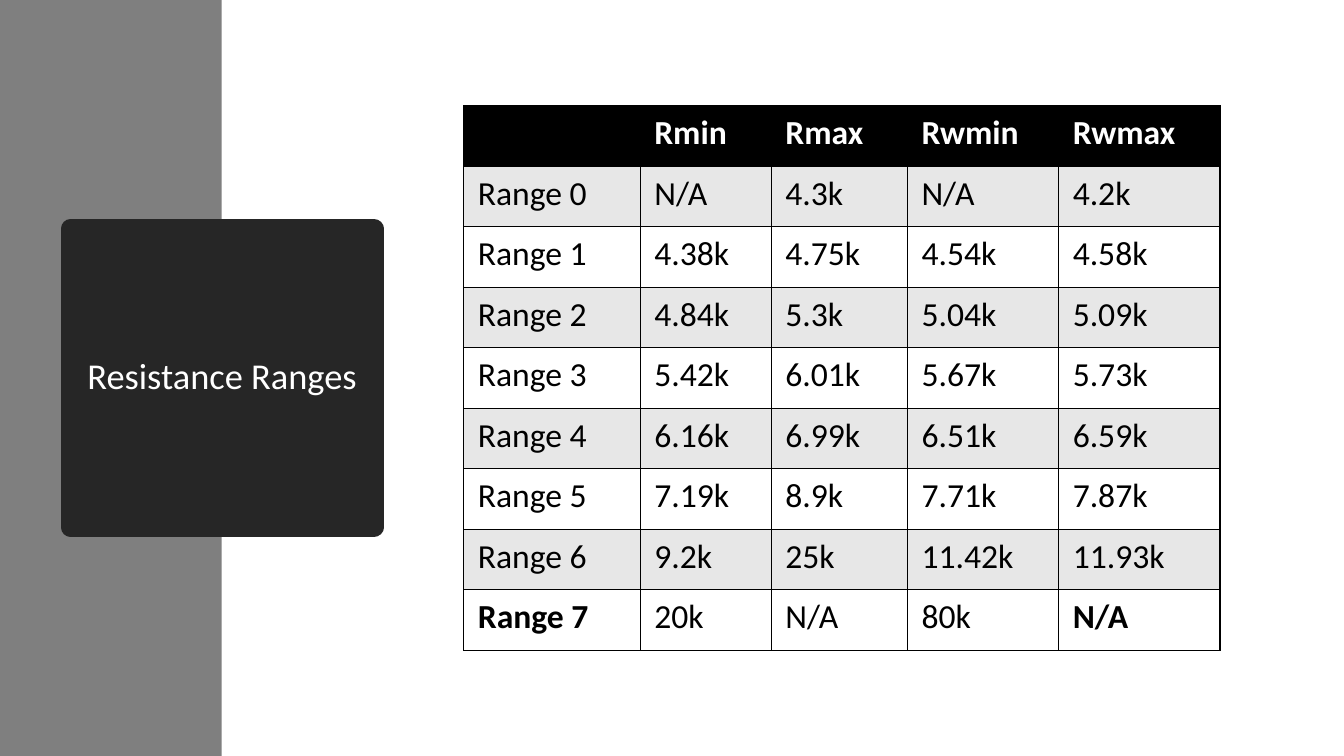
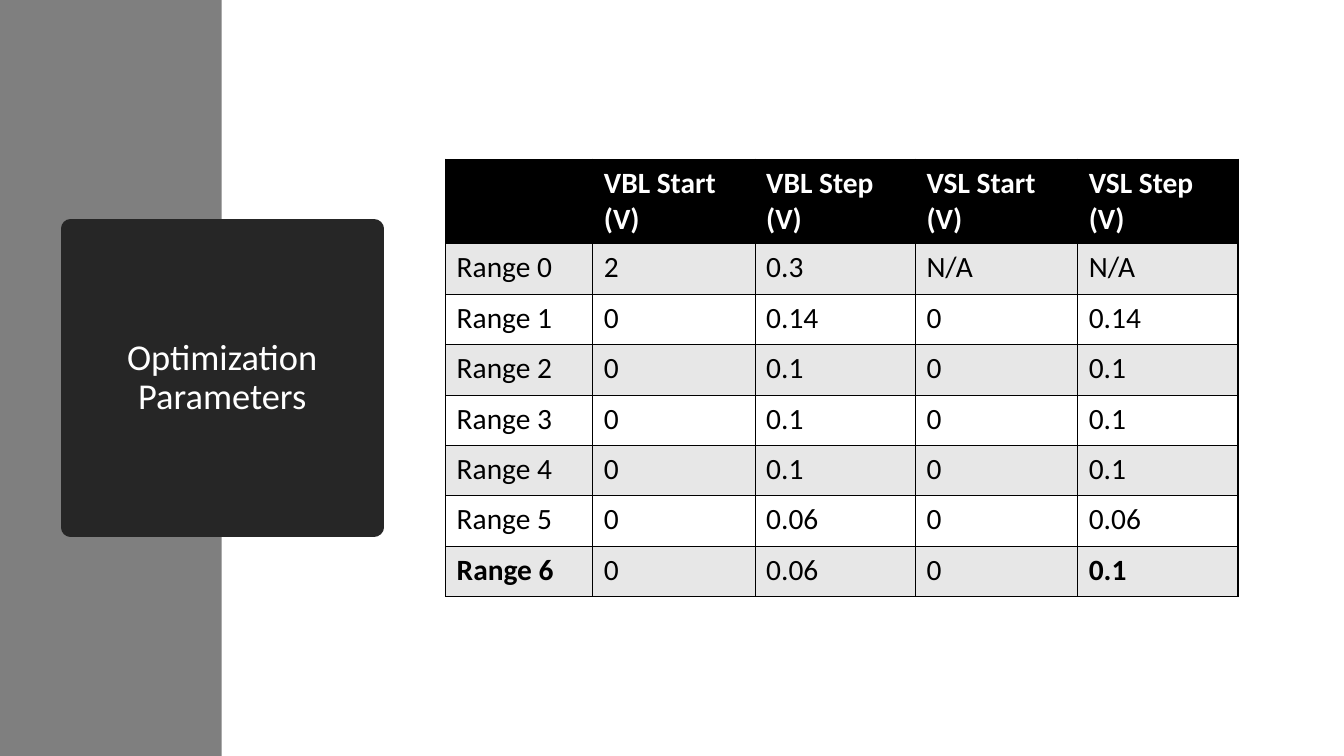
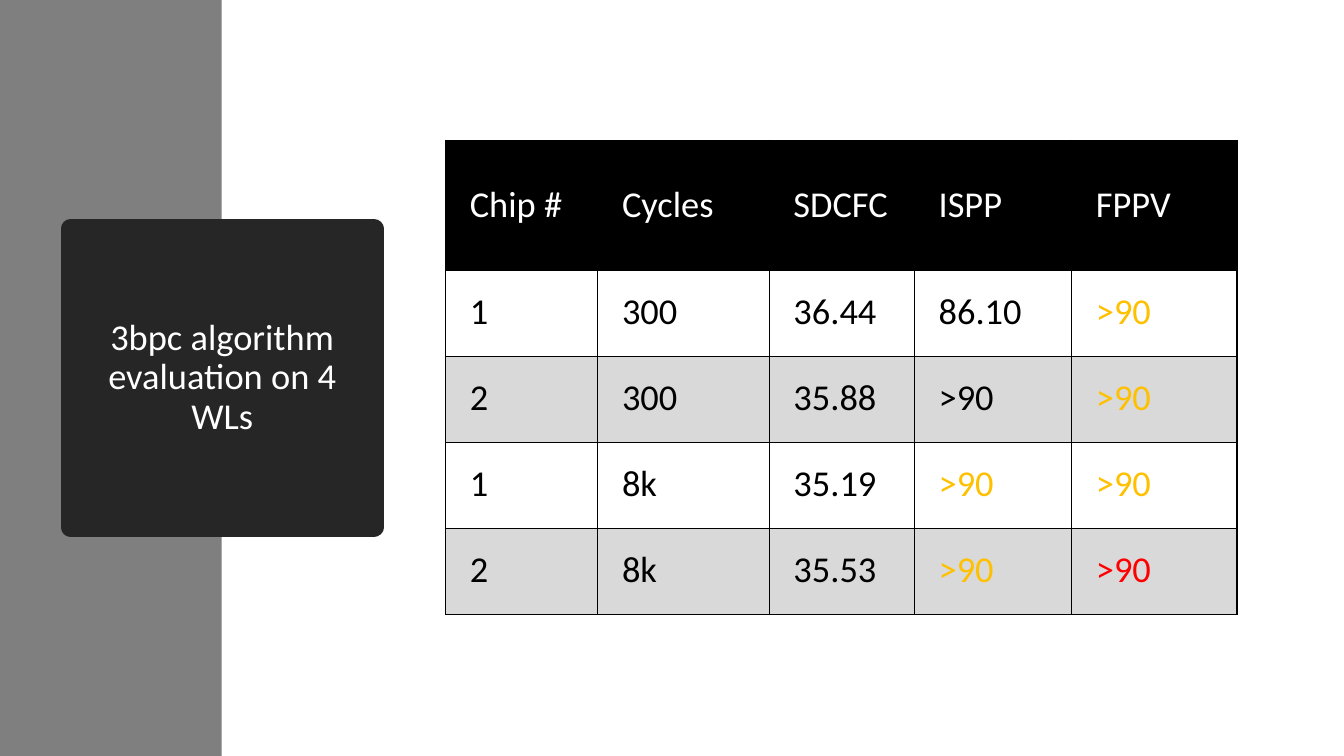
from dataclasses import dataclass

import pptx
import pptx.dml.color
import pptx.enum.text
import pptx.oxml
import pptx.oxml.ns
import pptx.util
from pptx.dml.color import RGBColor
from pptx.util import Inches, Pt

FONT = "Calibri"
BLACK = RGBColor(0x00, 0x00, 0x00)
WHITE = RGBColor(0xFF, 0xFF, 0xFF)
BAND_GREY = RGBColor(0x7F, 0x7F, 0x7F)
TITLE_BOX = RGBColor(0x26, 0x26, 0x26)
PALE_GREY = RGBColor(0xE7, 0xE7, 0xE7)
LIGHT_GREY = RGBColor(0xD9, 0xD9, 0xD9)
AMBER = RGBColor(0xFF, 0xC0, 0x00)
RED = RGBColor(0xFF, 0x00, 0x00)

TITLE_ONLY = 5
MIDDLE = pptx.enum.text.MSO_ANCHOR.MIDDLE


@dataclass
class TableLook:
    """Text size, cell margins (left, top, right, bottom) and row colours."""
    size: int
    margins: tuple
    row_fills: tuple
    bold_ends: bool = True
    header_anchor: object = None


RANGES_LOOK = TableLook(24, (0.14, 0.07, 0.14, 0.07), (PALE_GREY, WHITE))
PARAMETERS_LOOK = TableLook(21, (0.11, 0.06, 0.11, 0.06), (PALE_GREY, WHITE))
EVALUATION_LOOK = TableLook(26, (0.24, 0.19, 0.18, 0.19), (WHITE, LIGHT_GREY),
                            bold_ends=False, header_anchor=MIDDLE)

RESISTANCE_RANGES = [
    ["", "Rmin", "Rmax", "Rwmin", "Rwmax"],
    ["Range 0", "N/A", "4.3k", "N/A", "4.2k"],
    ["Range 1", "4.38k", "4.75k", "4.54k", "4.58k"],
    ["Range 2", "4.84k", "5.3k", "5.04k", "5.09k"],
    ["Range 3", "5.42k", "6.01k", "5.67k", "5.73k"],
    ["Range 4", "6.16k", "6.99k", "6.51k", "6.59k"],
    ["Range 5", "7.19k", "8.9k", "7.71k", "7.87k"],
    ["Range 6", "9.2k", "25k", "11.42k", "11.93k"],
    ["Range 7", "20k", "N/A", "80k", "N/A"],
]
OPTIMIZATION_PARAMETERS = [
    ["", "VBL Start (V)", "VBL Step (V)", "VSL Start (V)", "VSL Step (V)"],
    ["Range 0", "2", "0.3", "N/A", "N/A"],
    ["Range 1", "0", "0.14", "0", "0.14"],
    ["Range 2", "0", "0.1", "0", "0.1"],
    ["Range 3", "0", "0.1", "0", "0.1"],
    ["Range 4", "0", "0.1", "0", "0.1"],
    ["Range 5", "0", "0.06", "0", "0.06"],
    ["Range 6", "0", "0.06", "0", "0.1"],
]
ALGORITHM_EVALUATION = [
    ["Chip #", "Cycles", "SDCFC", "ISPP", "FPPV"],
    ["1", "300", "36.44", "86.10", ">90"],
    ["2", "300", "35.88", ">90", ">90"],
    ["1", "8k", "35.19", ">90", ">90"],
    ["2", "8k", "35.53", ">90", ">90"],
]
EVALUATION_COLOURS = {(1, 4): AMBER, (2, 4): AMBER, (3, 3): AMBER,
                      (3, 4): AMBER, (4, 3): AMBER, (4, 4): RED}


def format_runs(paragraph, size, colour, bold=False):
    for run in paragraph.runs:
        run.font.name = FONT
        run.font.size = Pt(size)
        run.font.color.rgb = colour
        run.font.bold = bold


def add_titled_slide(deck, heading):
    """Add a slide with the grey side band and the dark title box over it."""
    slide = deck.slides.add_slide(deck.slide_layouts[TITLE_ONLY])
    title = slide.shapes.title

    side_band = slide.shapes.add_shape(
        pptx.enum.shapes.MSO_SHAPE.RECTANGLE, 0, 0, Inches(2.2), deck.slide_height)
    side_band.shadow.inherit = False
    side_band.fill.solid()
    side_band.fill.fore_color.rgb = BAND_GREY
    side_band.line.fill.background()
    title.element.addprevious(side_band.element)

    title.left, title.top = Inches(0.7), Inches(2.27)
    title.width, title.height = Inches(3.01), Inches(2.96)
    title.fill.solid()
    title.fill.fore_color.rgb = TITLE_BOX
    title.line.color.rgb = TITLE_BOX
    title.line.width = Pt(13.75)
    outline = title.element.spPr.find(pptx.oxml.ns.qn("a:ln"))
    outline.append(pptx.oxml.parse_xml(f"<a:round {pptx.oxml.ns.nsdecls('a')}/>"))

    frame = title.text_frame
    frame.text = heading
    frame.word_wrap = True
    frame.auto_size = pptx.enum.text.MSO_AUTO_SIZE.NONE
    frame.vertical_anchor = MIDDLE
    paragraph = frame.paragraphs[0]
    paragraph.alignment = pptx.enum.text.PP_ALIGN.CENTER
    paragraph.line_spacing = 0.9
    format_runs(paragraph, 26, WHITE)
    return slide


def add_borders(cell):
    properties = cell._tc.get_or_add_tcPr()
    for side in ("lnL", "lnR", "lnT", "lnB"):
        properties.append(pptx.oxml.parse_xml(
            f'<a:{side} {pptx.oxml.ns.nsdecls("a")} w="{Pt(1)}">'
            f'<a:solidFill><a:srgbClr val="{BLACK}"/></a:solidFill></a:{side}>'))


def fill_cell(cell, text, look, fill, colour, bold):
    add_borders(cell)
    cell.fill.solid()
    cell.fill.fore_color.rgb = fill
    (cell.margin_left, cell.margin_top,
     cell.margin_right, cell.margin_bottom) = map(Inches, look.margins)
    cell.text_frame.text = text
    format_runs(cell.text_frame.paragraphs[0], look.size, colour, bold)


def add_data_table(slide, left, top, widths, header_height, row_height,
                   rows, look, colours=None):
    """Add a table; colours maps (row, column) to a special text colour."""
    colours = colours or {}
    heights = [header_height] + [row_height] * (len(rows) - 1)
    table = slide.shapes.add_table(
        len(rows), len(widths), Inches(left), Inches(top),
        Inches(sum(widths)), Inches(sum(heights))).table
    table.first_row = table.horz_banding = False
    for column, width in zip(table.columns, widths):
        column.width = Inches(width)
    for row, height in zip(table.rows, heights):
        row.height = Inches(height)

    last_row, last_column = len(rows) - 1, len(widths) - 1
    for r, values in enumerate(rows):
        for c, value in enumerate(values):
            cell = table.cell(r, c)
            if r == 0:
                fill_cell(cell, value, look, BLACK, WHITE, look.bold_ends)
                cell.vertical_anchor = look.header_anchor
            else:
                at_end = r == last_row and c in (0, last_column)
                fill_cell(cell, value, look, look.row_fills[(r - 1) % 2],
                          colours.get((r, c), BLACK), look.bold_ends and at_end)


def main():
    deck = pptx.Presentation()
    deck.slide_width, deck.slide_height = Inches(13.33), Inches(7.5)

    slide = add_titled_slide(deck, "Resistance Ranges")
    add_data_table(slide, 4.6, 1.05, (1.75, 1.3, 1.35, 1.5, 1.6), 0.6, 0.6,
                   RESISTANCE_RANGES, RANGES_LOOK)

    slide = add_titled_slide(deck, "Optimization Parameters")
    add_data_table(slide, 4.42, 1.58, (1.46, 1.61, 1.59, 1.61, 1.59), 0.84, 0.5,
                   OPTIMIZATION_PARAMETERS, PARAMETERS_LOOK)

    slide = add_titled_slide(deck, "3bpc algorithm evaluation on 4 WLs")
    add_data_table(slide, 4.42, 1.39, (1.51, 1.7, 1.44, 1.56, 1.64), 1.29, 0.855,
                   ALGORITHM_EVALUATION, EVALUATION_LOOK, EVALUATION_COLOURS)

    deck.save("out.pptx")


if __name__ == "__main__":
    main()
